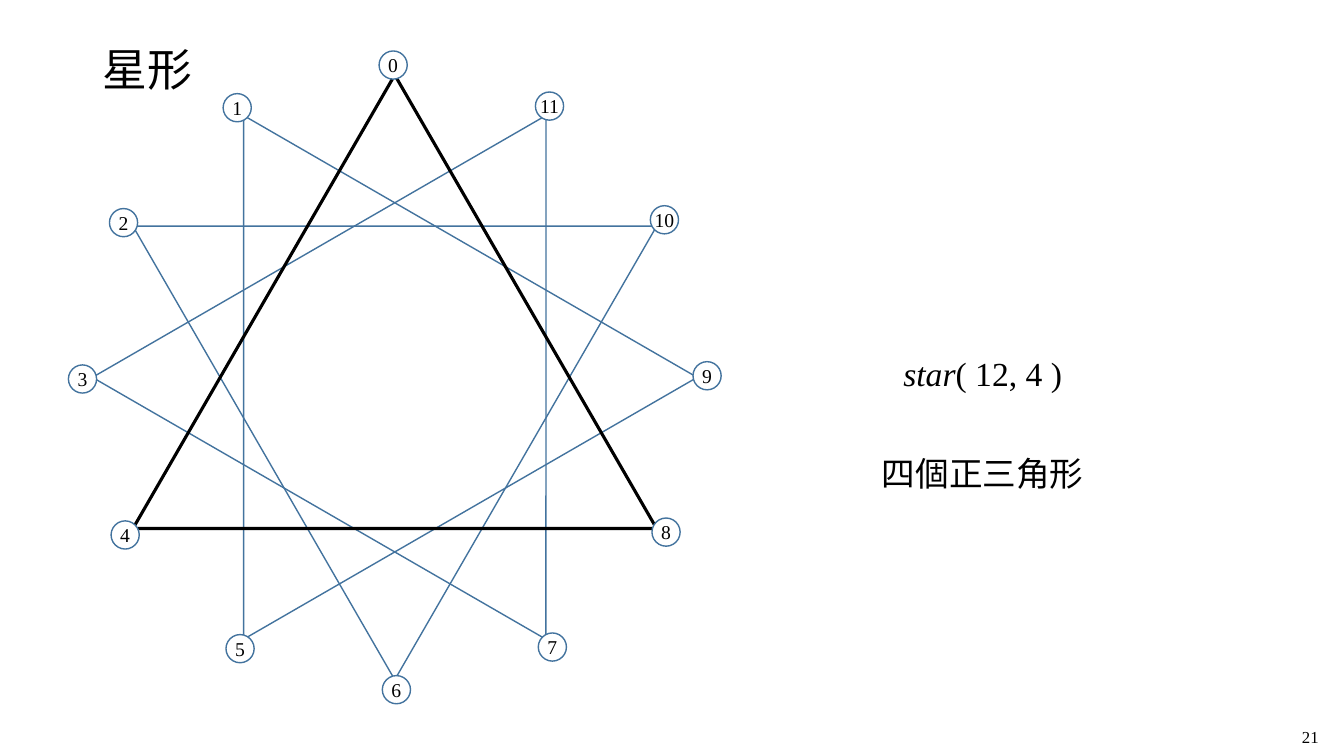
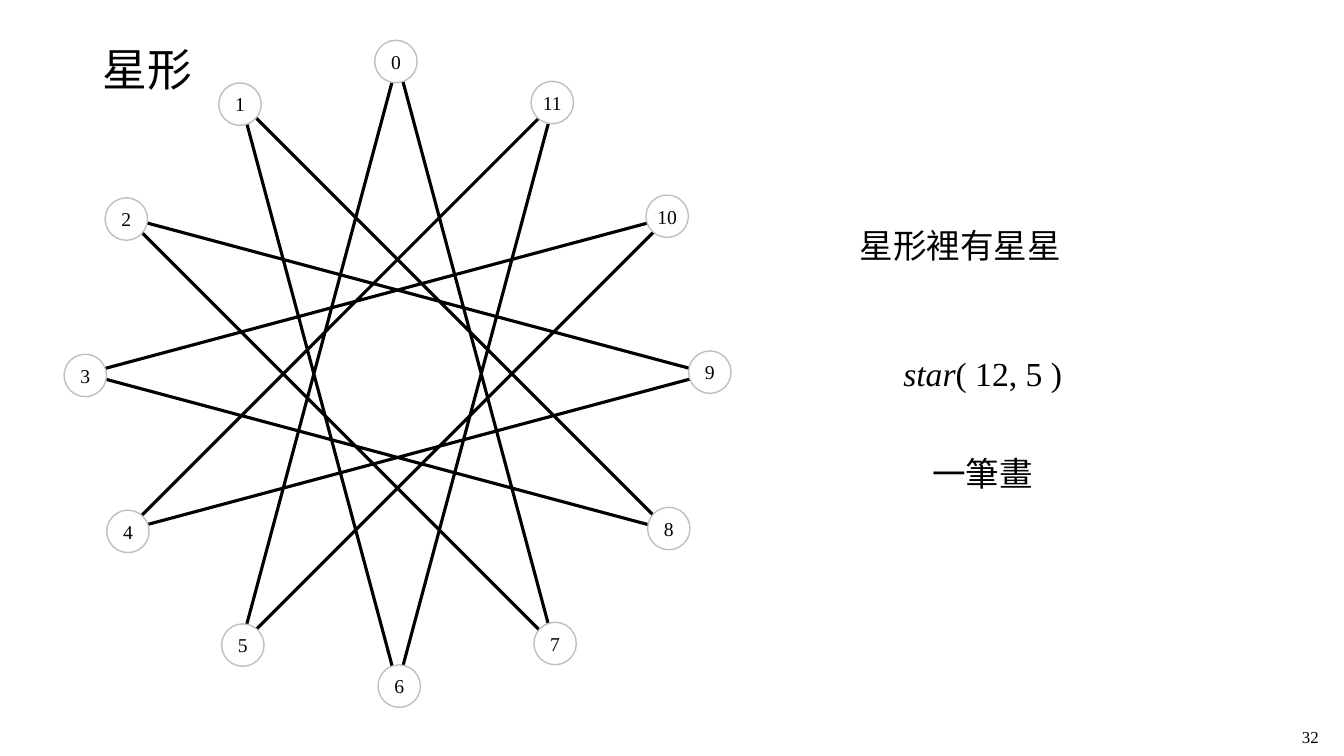
from math import cos, gcd, pi, radians, sin

from pptx import Presentation
from pptx.dml.color import RGBColor
from pptx.enum.shapes import MSO_SHAPE as Shape
from pptx.enum.text import MSO_ANCHOR as Anchor, MSO_AUTO_SIZE as Fit, PP_ALIGN as Align
from pptx.oxml.ns import qn
from pptx.util import Cm, Pt

LATIN, HAN = "Times New Roman", "Noto Sans CJK SC"
BLACK, WHITE, BLUE, GREY = "000000", "FFFFFF", "43739E", "BFBFBF"
TILT = radians(0.3)


def color(code):
    return RGBColor.from_string(code)


def spot(mid, size, turn):
    """Point on a circle, counted counterclockwise from the top."""
    return mid[0] - size * sin(turn), mid[1] - size * cos(turn)


class Deck:
    def __init__(self):
        self.prs = Presentation()
        self.prs.slide_width, self.prs.slide_height = Cm(33.87), Cm(19.05)

    def page(self, num):
        self.slide = self.prs.slides.add_slide(self.prs.slide_layouts[6])
        title = self.text("星形", 2.34, 1.02, 29.21, 1.57, 32, HAN)
        title.vertical_anchor = Anchor.MIDDLE
        title.word_wrap = True
        title.paragraphs[0].line_spacing = 0.9
        self.text(str(num), 32.56, 18.19, 0.94, 0.76, 12)

    def style(self, frame, size, face=LATIN):
        for run in frame.paragraphs[0].runs:
            run.font.size, run.font.name = Pt(size), face
            run.font.color.rgb = color(BLACK)
            east = run.font._element.makeelement(qn("a:ea"), {"typeface": HAN})
            run.font._element.find(qn("a:latin")).addnext(east)

    def text(self, words, x, y, w, h, size, face=LATIN):
        box = self.slide.shapes.add_textbox(Cm(x), Cm(y), Cm(w), Cm(h))
        frame = box.text_frame
        frame.text = words
        frame.word_wrap = False
        frame.auto_size = Fit.NONE if face == HAN else Fit.SHAPE_TO_FIT_TEXT
        self.style(frame, size, face)
        return frame

    def shape(self, kind, x, y, w, h, words, size):
        """White shape with centred text; gives back the shape."""
        item = self.slide.shapes.add_shape(kind, Cm(x), Cm(y), Cm(w), Cm(h))
        item.shadow.inherit = False
        item.fill.solid()
        item.fill.fore_color.rgb = color(WHITE)
        item.line.fill.background()
        frame = item.text_frame
        frame.text = words
        frame.vertical_anchor = Anchor.MIDDLE
        frame.paragraphs[0].alignment = Align.CENTER
        self.style(frame, size)
        return item

    def label(self, row, words):
        return self.shape(Shape.RECTANGLE, 21.08, 8.15 + 2.52 * row, 7.37, 2.52, words, 24)

    def call(self, count, step):
        frame = self.label(0, "star").text_frame
        para = frame.paragraphs[0]
        para.add_run().text = f"( {count}, {step} )"
        self.style(frame, 24)
        para.runs[0].font.italic = True

    def pen(self, item, code, width):
        item.line.color.rgb = color(code)
        item.line.width = Pt(width)

    def star(self, count, step, mid, size):
        """Join every step-th point; the loop through point 0 is bold and on top."""
        loops = gcd(count, step)
        for first in [*range(1, loops), 0]:
            dots = [spot(mid, size, 2 * pi * (first + step * k) / count)
                    for k in range(count // loops)]
            dots = [(Cm(x), Cm(y)) for x, y in dots]
            form = self.slide.shapes.build_freeform(*dots[0])
            form.add_line_segments(dots[1:], close=True)
            item = form.convert_to_shape()
            item.shadow.inherit = False
            item.fill.background()
            self.pen(item, *((BLUE, 1) if first else (BLACK, 2.25)))

    def ring(self, count, mid, size, wide, code):
        """Numbered discs around the star."""
        for k in range(count):
            x, y = spot(mid, size, 2 * pi * k / count + TILT)
            disc = self.shape(Shape.OVAL, x - wide / 2, y - wide / 2, wide, wide, str(k), 14)
            disc.text_frame.word_wrap = False
            self.pen(disc, code, 1)


def main():
    deck = Deck()
    for num, step, mid, size, wide, code, words in (
        (21, 4, (9.95, 9.51), 7.62, 0.71, BLUE, "四個正三角形"),
        (32, 5, (10.02, 9.42), 7.87, 1.07, GREY, "一筆畫"),
    ):
        deck.page(num)
        deck.call(12, step)
        deck.label(1, words)
        deck.star(12, step, mid, size)
        deck.ring(12, mid, 7.87, wide, code)
    deck.text("星形裡有星星", 21.41, 5.54, 5.84, 1.27, 24)
    deck.prs.save("out.pptx")


if __name__ == "__main__":
    main()
